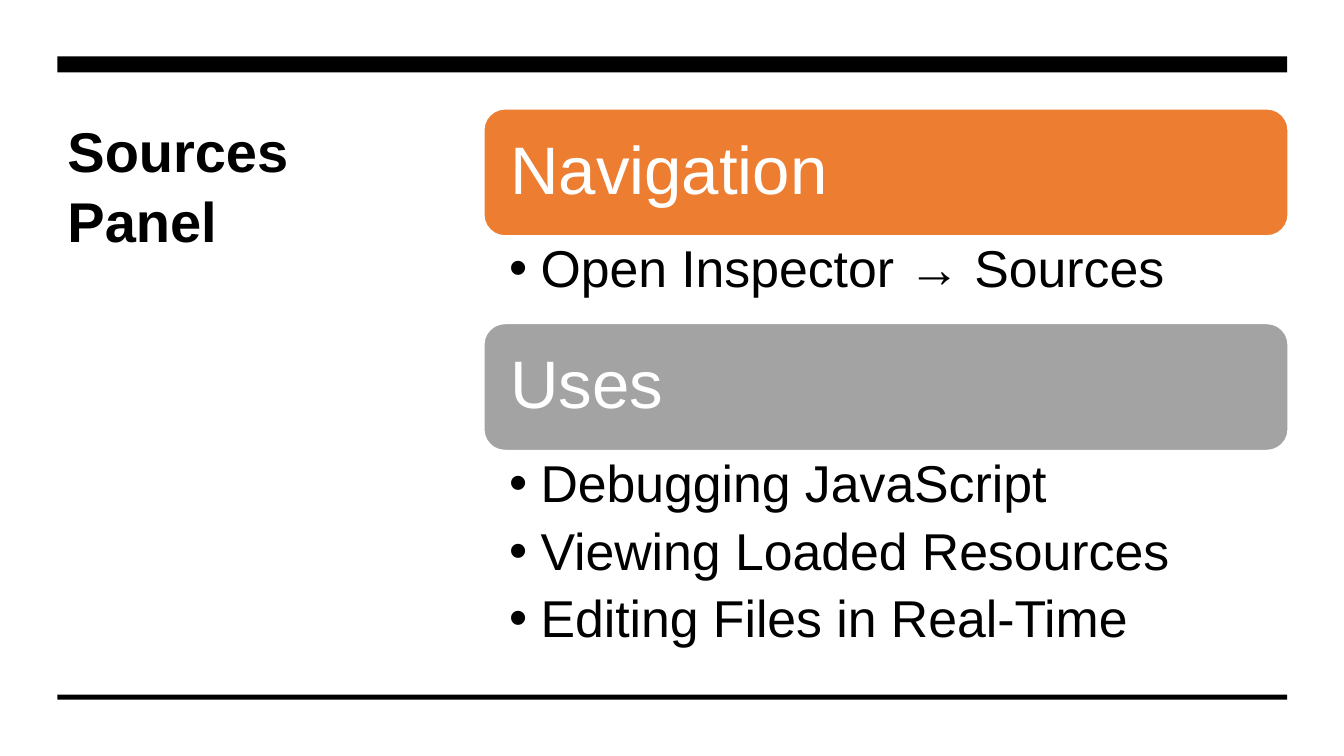
from dataclasses import dataclass

from pptx import Presentation
from pptx.dml.color import RGBColor as RGB
from pptx.enum.shapes import MSO_SHAPE as SHAPE
from pptx.enum.text import MSO_ANCHOR as ANCHOR, MSO_AUTO_SIZE as AUTO, PP_ALIGN as ALIGN
from pptx.shapes.base import BaseShape
from pptx.slide import Slide
from pptx.text.text import TextFrame
from pptx.util import Pt


@dataclass(frozen=True)
class Theme:
    font: str = "Arial"
    dark: RGB = RGB(0x00, 0x00, 0x00)
    light: RGB = RGB(0xFF, 0xFF, 0xFF)
    orange: RGB = RGB(0xED, 0x7D, 0x31)
    grey: RGB = RGB(0xA3, 0xA3, 0xA3)
    title_size: int = 40
    heading_size: int = 48
    list_size: int = 37


@dataclass(frozen=True)
class Box:
    left: float
    top: float
    width: float
    height: float


@dataclass(frozen=True)
class Section:
    heading: str
    color: RGB
    items: tuple[str, ...]
    list_height: float


THEME = Theme()
MARGIN, RULE_WIDTH = 41, 878.4
RULES = (Box(MARGIN, 40.3, RULE_WIDTH, 11.5), Box(MARGIN, 496.1, RULE_WIDTH, 3.6))
TITLE = Box(MARGIN, 77, 248.4, 320.4)
SECTION_LEFT, SECTION_TOP, SECTION_WIDTH, HEADING_HEIGHT = 345.6, 77.8, 574.5, 90.7
BULLET_INDENT = 22.5
SECTIONS = (
    Section("Navigation", THEME.orange, ("Open Inspector → Sources",), 62.6),
    Section("Uses", THEME.grey,
            ("Debugging JavaScript", "Viewing Loaded Resources", "Editing Files in Real-Time"),
            148.3),
)


def place(s: BaseShape, box: Box) -> None:
    for name in ("left", "top", "width", "height"):
        setattr(s, name, Pt(getattr(box, name)))


def add_block(slide: Slide, kind: SHAPE, box: Box, fill: RGB) -> BaseShape:
    """Add a filled shape without outline or shadow."""
    s = slide.shapes.add_shape(kind, *(Pt(v) for v in (box.left, box.top, box.width, box.height)))
    s.fill.solid()
    s.fill.fore_color.rgb = fill
    s.line.fill.background()
    s.shadow.inherit = False
    return s


def write(tf: TextFrame, lines: tuple[str, ...], size: int, color: RGB, bold: bool = False,
          anchor: ANCHOR = ANCHOR.TOP, insets: tuple[float, ...] = (7.2, 3.6, 7.2, 3.6),
          spacing: float = 0.9, after: float = 0) -> None:
    """Fill a text frame, one paragraph per line; insets run left, top, right, bottom."""
    frame = {"word_wrap": True, "auto_size": AUTO.NONE, "vertical_anchor": anchor}
    sides = ("margin_left", "margin_top", "margin_right", "margin_bottom")
    frame.update(zip(sides, map(Pt, insets)))
    for name, value in frame.items():
        setattr(tf, name, value)
    paragraph = {"alignment": ALIGN.LEFT, "line_spacing": spacing,
                 "space_before": Pt(0), "space_after": Pt(after)}
    font = {"name": THEME.font, "size": Pt(size), "bold": bold}
    for i, line in enumerate(lines):
        p = tf.add_paragraph() if i else tf.paragraphs[0]
        for name, value in paragraph.items():
            setattr(p, name, value)
        r = p.add_run()
        r.text = line
        for name, value in font.items():
            setattr(r.font, name, value)
        r.font.color.rgb = color


def add_section(slide: Slide, section: Section, body: BaseShape, top: float) -> float:
    """Draw a heading with its list below and return the bottom of the list."""
    s = add_block(slide, SHAPE.ROUNDED_RECTANGLE,
                  Box(SECTION_LEFT, top, SECTION_WIDTH, HEADING_HEIGHT), section.color)
    s.line.color.rgb = THEME.light
    s.line.width = Pt(1)
    write(s.text_frame, (section.heading,), THEME.heading_size, THEME.light,
          anchor=ANCHOR.MIDDLE, insets=(14.4,) * 4)

    list_top = top + HEADING_HEIGHT
    place(body, Box(SECTION_LEFT, list_top, SECTION_WIDTH, section.list_height))
    write(body.text_frame, section.items, THEME.list_size, THEME.dark,
          insets=(18, 5, 26.6, 5), after=8.5)
    for p in body.text_frame.paragraphs:
        pPr = p._p.get_or_add_pPr()
        pPr.set("marL", str(Pt(BULLET_INDENT)))
        pPr.set("indent", str(-Pt(BULLET_INDENT)))
    return list_top + section.list_height


def main() -> None:
    prs = Presentation()
    prs.slide_width, prs.slide_height = Pt(960), Pt(540)
    slide = prs.slides.add_slide(prs.slide_layouts.get_by_name("Two Content"))

    title, *bodies = slide.placeholders
    place(title, TITLE)
    write(title.text_frame, ("Sources Panel",), THEME.title_size, THEME.dark,
          bold=True, spacing=1.05, after=6)
    for rule in RULES:
        add_block(slide, SHAPE.RECTANGLE, rule, THEME.dark)
    top = SECTION_TOP
    for section, body in zip(SECTIONS, bodies):
        top = add_section(slide, section, body, top)

    prs.save("out.pptx")


if __name__ == "__main__":
    main()
